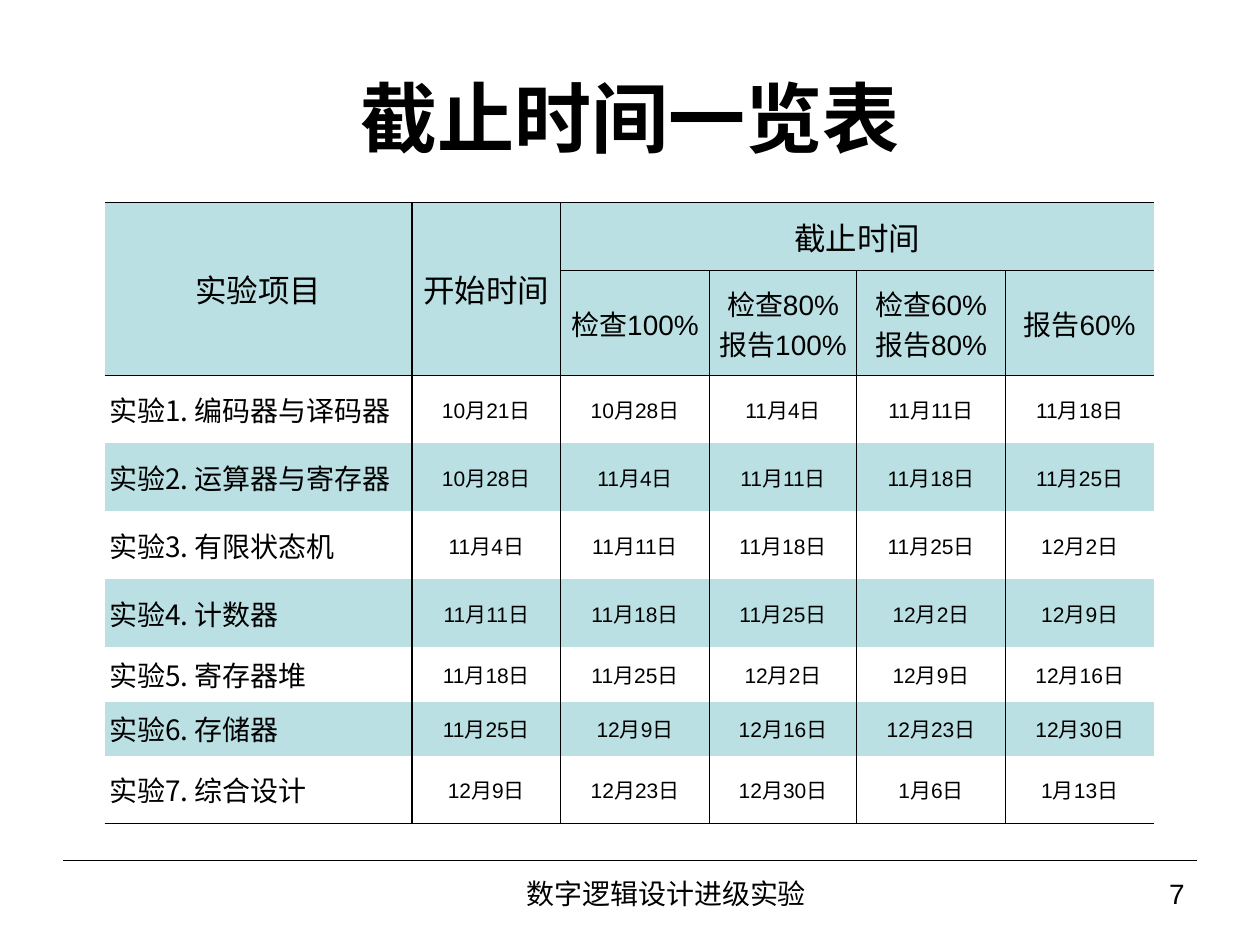
from lxml.etree import SubElement
from pptx import Presentation
from pptx.dml.color import RGBColor
from pptx.enum.shapes import MSO_CONNECTOR
from pptx.enum.text import MSO_ANCHOR, PP_ALIGN
from pptx.oxml.ns import qn
from pptx.util import Inches, Pt

BLACK = "000000"
PALE_TEAL = "BBE0E3"
LATIN_FONT = "Arial"
CHINESE_FONT = "Noto Sans CJK SC"
LINE_WIDTH = Pt(0.75)

COLUMN_WIDTHS = [2.44] + [1.18] * 2 + [1.17] + [1.18] * 2
ROW_HEIGHTS = [0.54, 0.83] + [0.54] * 4 + [0.43] * 2 + [0.54]
HEADER_ROWS = 2
SCHEDULE = [
    ["实验项目", "开始时间", "截止时间", "", "", ""],
    ["", "", "检查100%", "检查80%\v报告100%", "检查60%\v报告80%", "报告60%"],
    ["实验1. 编码器与译码器", "10月21日", "10月28日", "11月4日", "11月11日", "11月18日"],
    ["实验2. 运算器与寄存器", "10月28日", "11月4日", "11月11日", "11月18日", "11月25日"],
    ["实验3. 有限状态机", "11月4日", "11月11日", "11月18日", "11月25日", "12月2日"],
    ["实验4. 计数器", "11月11日", "11月18日", "11月25日", "12月2日", "12月9日"],
    ["实验5. 寄存器堆", "11月18日", "11月25日", "12月2日", "12月9日", "12月16日"],
    ["实验6. 存储器", "11月25日", "12月9日", "12月16日", "12月23日", "12月30日"],
    ["实验7. 综合设计", "12月9日", "12月23日", "12月30日", "1月6日", "1月13日"],
]


def color(value):
    return RGBColor.from_string(value)


def write_text(frame, text, size, align=PP_ALIGN.CENTER, font=LATIN_FONT, bold=False):
    paragraph = frame.paragraphs[0]
    paragraph.text = text
    paragraph.alignment = align
    for run in paragraph.runs:
        run.font.size = Pt(size)
        run.font.bold = bold
        run.font.color.rgb = color(BLACK)
        run.font.name = font
        SubElement(run.font._element, qn("a:ea"), typeface=CHINESE_FONT)


def set_borders(cell, **sides):
    properties = cell._tc.get_or_add_tcPr()
    for side in "LRTB":
        line = SubElement(properties, qn("a:ln" + side), w=str(LINE_WIDTH))
        if sides[side]:
            fill = SubElement(line, qn("a:solidFill"))
            SubElement(fill, qn("a:srgbClr"), val=BLACK)
        else:
            SubElement(line, qn("a:noFill"))


def format_cell(cell, text, row, column):
    is_header = row < HEADER_ROWS
    is_name = column == 0 and not is_header
    set_borders(
        cell,
        L=column > 0,
        R=column + cell.span_width < len(COLUMN_WIDTHS),
        T=row <= HEADER_ROWS,
        B=is_header or row == len(ROW_HEIGHTS) - 1,
    )
    if is_header or row % 2:
        cell.fill.solid()
        cell.fill.fore_color.rgb = color(PALE_TEAL)
    else:
        cell.fill.background()
    cell.vertical_anchor = MSO_ANCHOR.MIDDLE
    cell.margin_left = Inches(0.04 if is_name else 0.01)
    cell.margin_right = Inches(0.01)
    if is_name:
        write_text(cell.text_frame, text, 16, align=PP_ALIGN.LEFT, font=CHINESE_FONT)
    elif text:
        write_text(cell.text_frame, text, {0: 18, 1: 16}.get(row, 12))


def add_title(slide, left, top, width, height):
    title = slide.shapes.title
    title.left, title.top, title.width, title.height = left, top, width, height
    title.text_frame.vertical_anchor = MSO_ANCHOR.MIDDLE
    write_text(title.text_frame, "截止时间一览表", 44, bold=True)


def add_schedule(slide, left, top, width, height):
    frame = slide.shapes.add_table(
        len(ROW_HEIGHTS), len(COLUMN_WIDTHS), left, top, width, height
    )
    table = frame.table
    for column, share in zip(table.columns, COLUMN_WIDTHS):
        column.width = int(width * share / sum(COLUMN_WIDTHS))
    for row, share in zip(table.rows, ROW_HEIGHTS):
        row.height = int(height * share / sum(ROW_HEIGHTS))
    for column in range(2):
        table.cell(0, column).merge(table.cell(1, column))
    table.cell(0, 2).merge(table.cell(0, len(COLUMN_WIDTHS) - 1))
    for row, texts in enumerate(SCHEDULE):
        for column, text in enumerate(texts):
            format_cell(table.cell(row, column), text, row, column)


def add_footer(slide, left, top, width, height):
    rule = slide.shapes.add_connector(
        MSO_CONNECTOR.STRAIGHT, left, top, left + width, top
    )
    rule.line.color.rgb = color(BLACK)
    rule.line.width = LINE_WIDTH
    SubElement(rule._element.spPr, qn("a:effectLst"))
    parts = [
        ("数字逻辑设计进级实验", 2.33, 4.92, PP_ALIGN.CENTER),
        ("7", 7.25, 1.75, PP_ALIGN.RIGHT),
    ]
    for text, start, span, align in parts:
        box = slide.shapes.add_textbox(
            left + int(width * start / 9), top, int(width * span / 9), height
        )
        box.text_frame.word_wrap = True
        box.text_frame.vertical_anchor = MSO_ANCHOR.MIDDLE
        write_text(box.text_frame, text, 16, align=align)


def main():
    presentation = Presentation()
    presentation.slide_width = Inches(10)
    presentation.slide_height = Inches(7.5)
    slide = presentation.slides.add_slide(presentation.slide_layouts[5])
    add_title(slide, Inches(0.5), Inches(0.3), Inches(9), Inches(1.25))
    add_schedule(
        slide,
        Inches(0.83),
        Inches(1.61),
        Inches(sum(COLUMN_WIDTHS)),
        Inches(sum(ROW_HEIGHTS)),
    )
    add_footer(slide, Inches(0.5), Inches(6.83), Inches(9), Inches(0.52))
    presentation.save("out.pptx")


if __name__ == "__main__":
    main()
